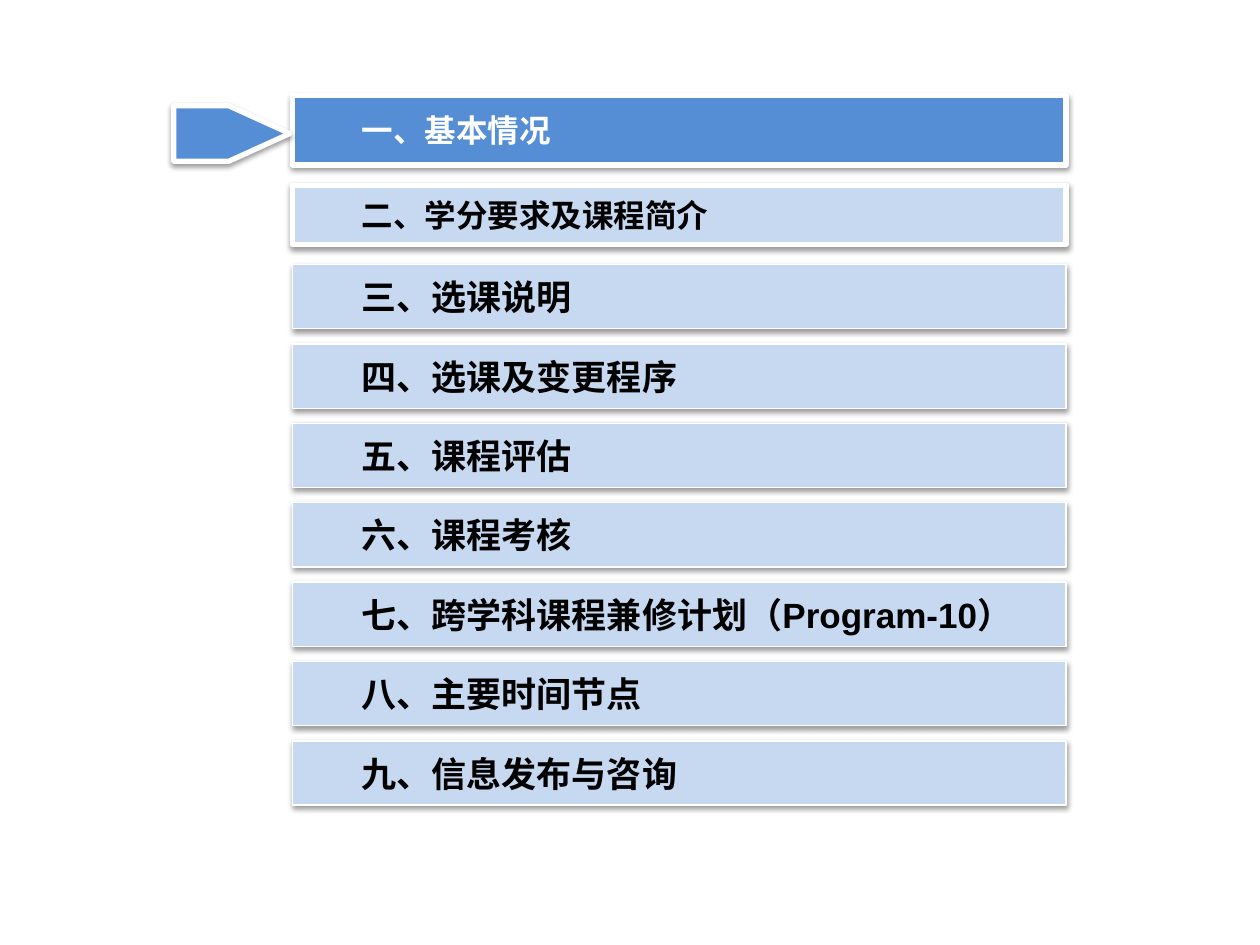
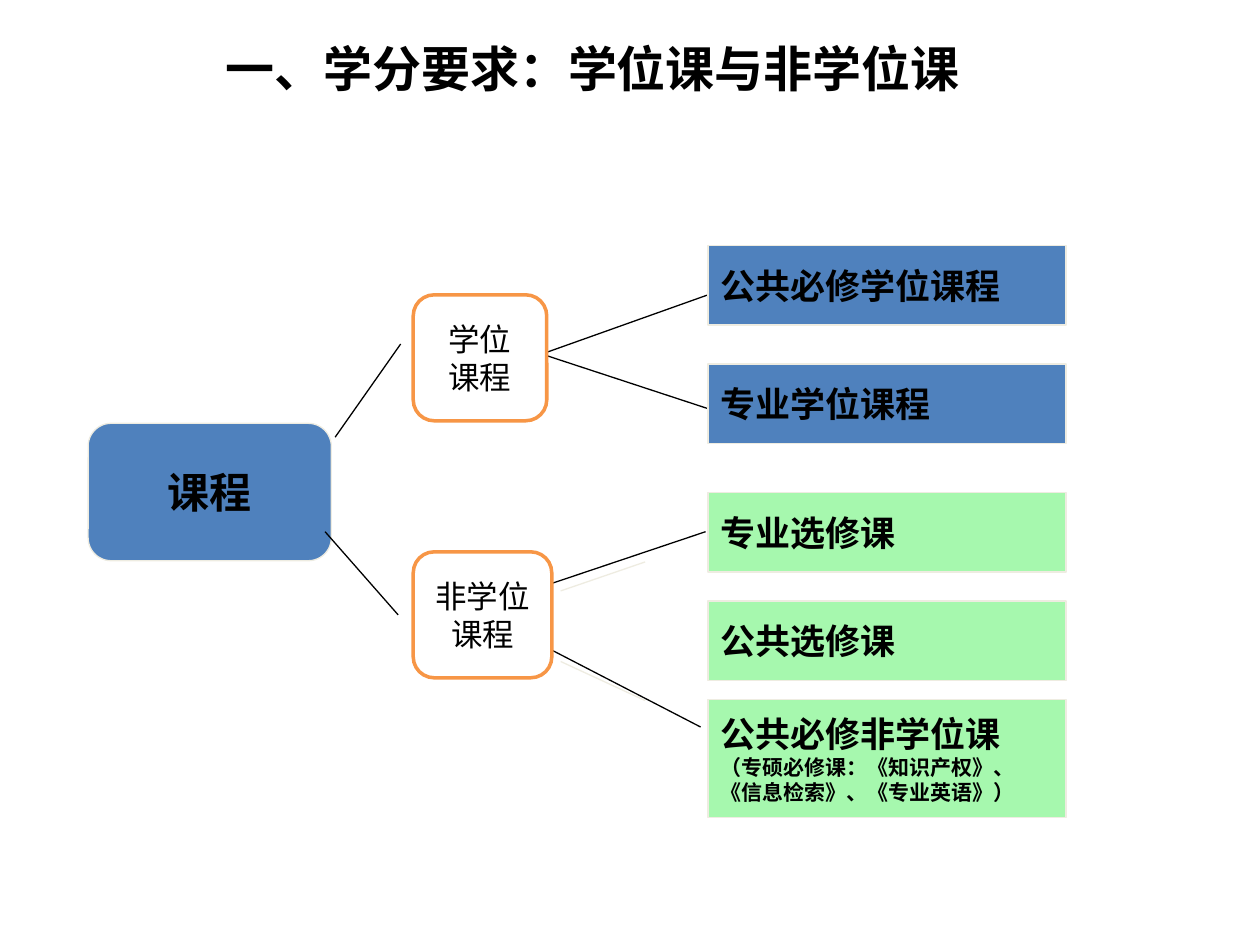
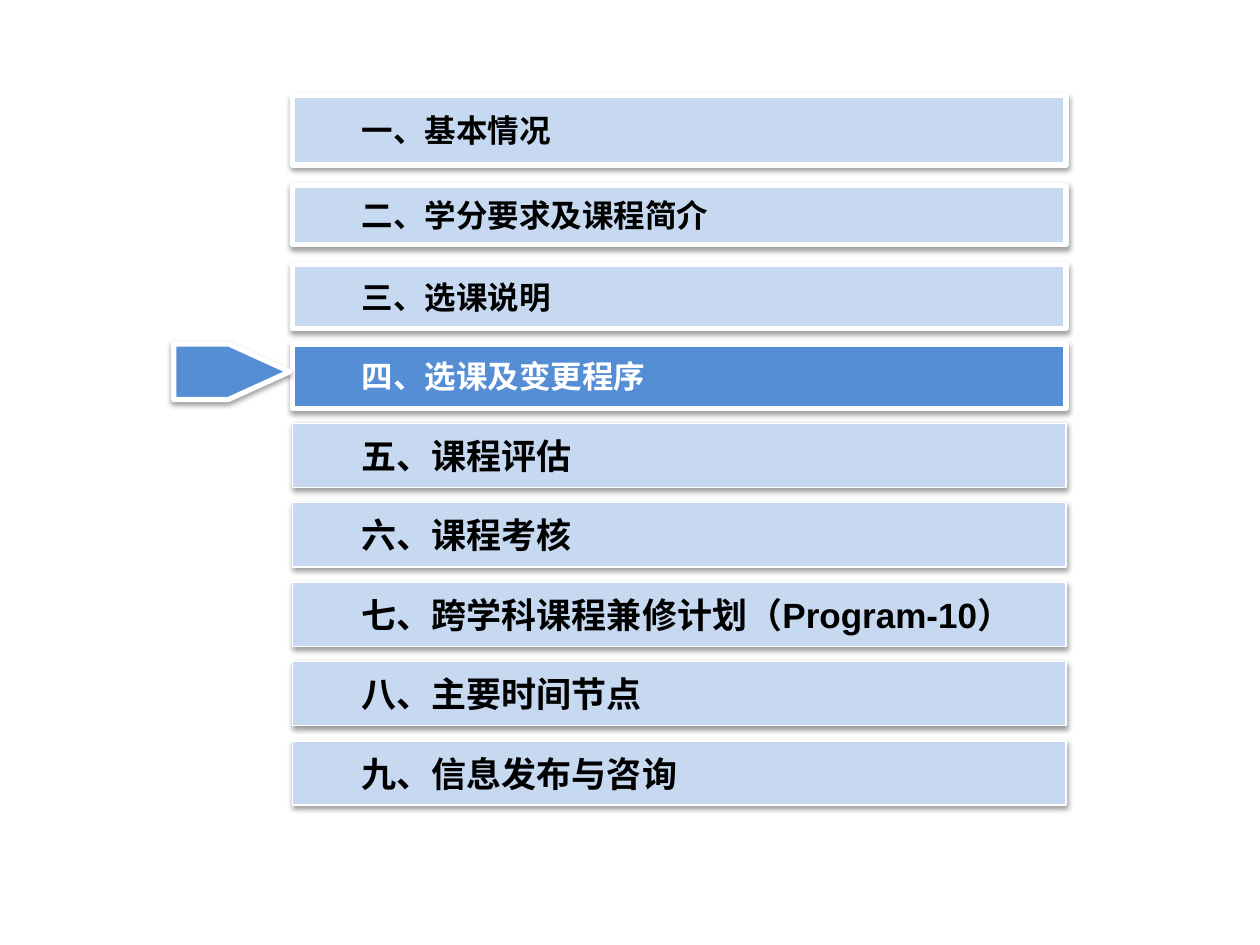
from lxml import etree
from pptx import Presentation
from pptx import util as u
from pptx.dml.color import RGBColor
from pptx.enum import shapes, text
from pptx.oxml import ns

BLACK, WHITE, CREAM = "000000", "FFFFFF", "EEECE1"
BLUE, PALE = "558ED5", "C6D9F1"
NAVY, GREEN, ORANGE = "4F81BD", "A6F8AE", "F79646"
KIND = shapes.MSO_SHAPE
LEFT, MID = text.PP_ALIGN.LEFT, text.PP_ALIGN.CENTER
rgb = RGBColor.from_string


def paint(shape, fill, line, width, shade=False):
    shape.fill.solid()
    shape.fill.fore_color.rgb = rgb(fill)
    shape.line.color.rgb = rgb(line)
    shape.line.width = u.Pt(width)
    shape.shadow.inherit = False
    if shade:
        effect = shape._element.spPr.find(ns.qn("a:effectLst"))
        outer = etree.SubElement(effect, ns.qn("a:outerShdw"), blurRad="40000",
                                 dist="20000", dir="5400000", rotWithShape="0")
        tone = etree.SubElement(outer, ns.qn("a:srgbClr"), val=BLACK)
        etree.SubElement(tone, ns.qn("a:alpha"), val="38000")


def write(shape, lines, size, font="Calibri", color=BLACK, bold=True,
          align=LEFT, wrap=False, inset=0.1):
    frame = shape.text_frame
    frame.text = "\n".join(lines)
    frame.auto_size = text.MSO_AUTO_SIZE.NONE
    frame.word_wrap = wrap
    frame.vertical_anchor = text.MSO_ANCHOR.MIDDLE
    frame.margin_left = u.Inches(inset)
    for par in frame.paragraphs:
        par.alignment = align
        par.font.size = u.Pt(size)
        par.font.name = font
        par.font.bold = bold
        par.font.color.rgb = rgb(color)


deck = Presentation()
deck.slide_width, deck.slide_height = u.Inches(10), u.Inches(7.5)
first, tree, last = [deck.slides.add_slide(deck.slide_layouts[i]) for i in (1, 5, 1)]

topics = [
    ("一、基本情况", "Arial"),
    ("二、学分要求及课程简介", "Arial"),
    ("三、选课说明", "Calibri"),
    ("四、选课及变更程序", "Calibri"),
    ("五、课程评估", "Calibri"),
    ("六、课程考核", "Calibri"),
    ("七、跨学科课程兼修计划（Program-10）", "Arial"),
    ("八、主要时间节点", "Arial"),
    ("九、信息发布与咨询", "Arial"),
]
rows = [(0.76, 0.55), (1.47, 0.47)] + [(2.1 + 0.63 * i, 0.51) for i in range(7)]

for slide, active, heavy, tip in [(first, 0, 2, 0.84), (last, 3, 4, 2.73)]:
    for i, ((topic, font), (top, height)) in enumerate(zip(topics, rows)):
        box = [u.Inches(n) for n in (2.32, top, 6.14, height)]
        if i < 2:
            bar = slide.placeholders[i]
            bar.left, bar.top, bar.width, bar.height = box
        else:
            bar = slide.shapes.add_shape(KIND.RECTANGLE, *box)
        thick, lit = i < heavy, i == active
        paint(bar, BLUE if lit else PALE, WHITE, 3 if thick else 0.75, True)
        write(bar, [topic], 18 if thick else 20, "Arial" if thick else font,
              WHITE if lit else BLACK, inset=0.55)
        if i == 1:
            par = bar.text_frame.paragraphs[0]
            props = par._p.get_or_add_pPr()
            props.set("marL", "0")
            props.set("indent", "0")
            props.insert_element_before(etree.Element(ns.qn("a:buNone")),
                                        "a:tabLst", "a:defRPr", "a:extLst")
            par.space_before = u.Pt(0)
    arrow = slide.shapes.add_shape(KIND.PENTAGON, u.Inches(1.38), u.Inches(tip),
                                   u.Inches(0.92), u.Inches(0.44))
    arrow.adjustments[0] = 1.1
    paint(arrow, BLUE, WHITE, 3, True)

title = tree.shapes.title
title.left, title.top = u.Inches(1.69), u.Inches(0.24)
title.width, title.height = u.Inches(7.72), u.Inches(0.6)
write(title, ["一、学分要求：学位课与非学位课"], 28, wrap=True)

root = tree.shapes.add_shape(KIND.ROUNDED_RECTANGLE, u.Inches(0.7), u.Inches(3.36),
                             u.Inches(1.93), u.Inches(1.09))
paint(root, NAVY, CREAM, 0.75)
write(root, ["课程"], 24, align=MID)

for *ends, color in [
    (2.66, 3.47, 3.18, 2.73, BLACK),
    (2.58, 4.22, 3.16, 4.88, BLACK),
    (4.3, 2.81, 5.62, 2.34, BLACK),
    (4.3, 2.81, 5.64, 3.25, BLACK),
    (4.45, 4.69, 5.12, 4.46, CREAM),
    (4.45, 5.25, 5.12, 5.56, CREAM),
    (4.38, 4.63, 5.6, 4.22, BLACK),
    (4.38, 5.16, 5.56, 5.77, BLACK),
]:
    link = tree.shapes.add_connector(shapes.MSO_CONNECTOR.STRAIGHT,
                                     *[u.Inches(n) for n in ends])
    link.line.color.rgb = rgb(color)
    link.line.width = u.Pt(0.75)
    etree.SubElement(link._element.spPr, ns.qn("a:effectLst"))

for top, width, lines in [(2.34, 1.06, ["学位", "课程"]), (4.38, 1.1, ["非学位课程"])]:
    node = tree.shapes.add_shape(KIND.ROUNDED_RECTANGLE, u.Inches(3.28), u.Inches(top),
                                 u.Inches(width), u.Inches(1))
    paint(node, WHITE, ORANGE, 2)
    write(node, lines, 18, bold=False, align=MID, wrap=True)

for top, height, fill, lines in [
    (1.95, 0.63, NAVY, ["公共必修学位课程"]),
    (2.89, 0.63, NAVY, ["专业学位课程"]),
    (3.91, 0.63, GREEN, ["专业选修课"]),
    (4.77, 0.63, GREEN, ["公共选修课"]),
    (5.55, 0.94, GREEN, ["公共必修非学位课", "（专硕必修课：《知识产权》、",
                         "《信息检索》、《专业英语》）"]),
]:
    leaf = tree.shapes.add_shape(KIND.RECTANGLE, u.Inches(5.62), u.Inches(top),
                                 u.Inches(2.84), u.Inches(height))
    paint(leaf, fill, CREAM, 0.75)
    write(leaf, lines, 20)
    for par in leaf.text_frame.paragraphs[1:]:
        par.font.size = u.Pt(12)

deck.save("out.pptx")
